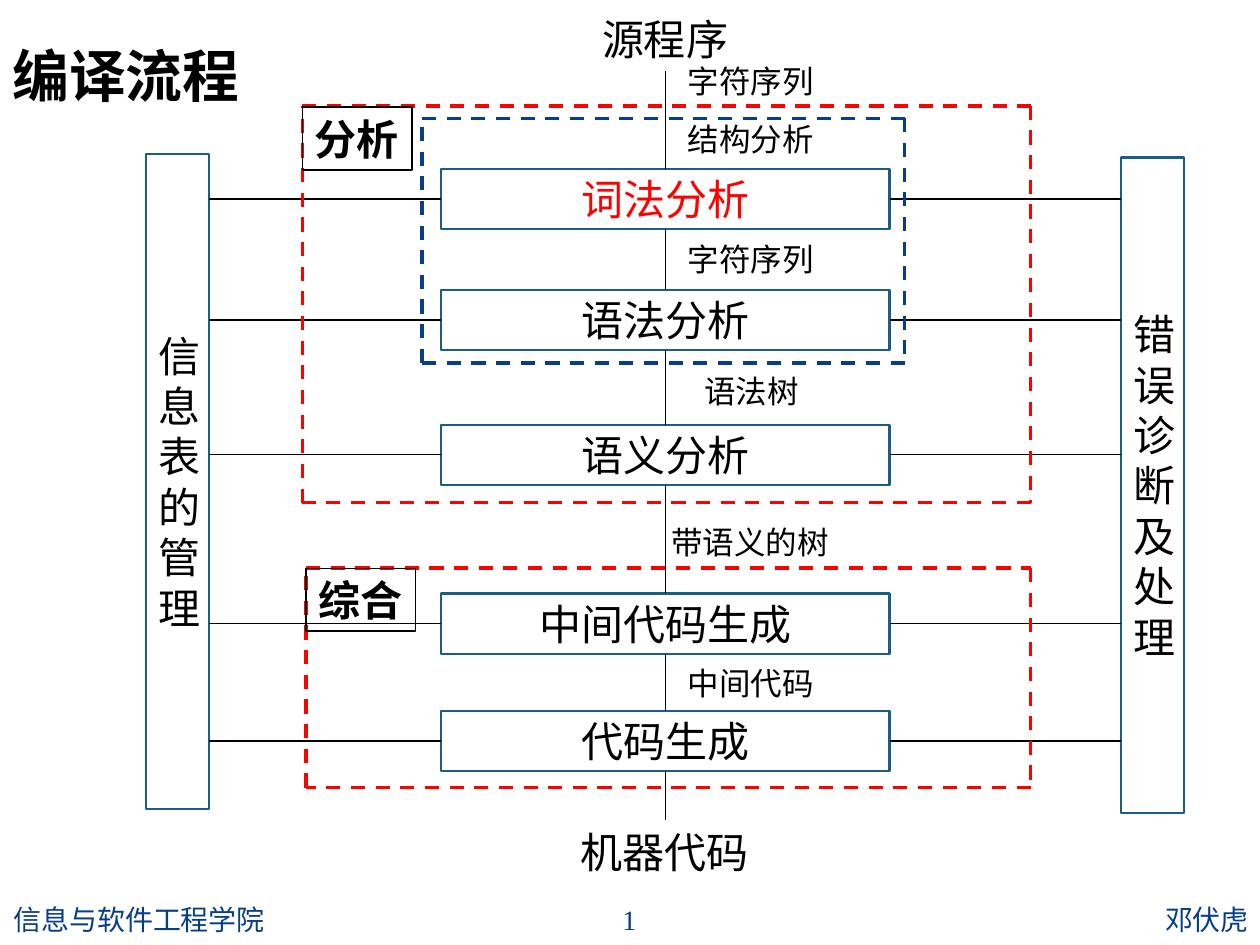
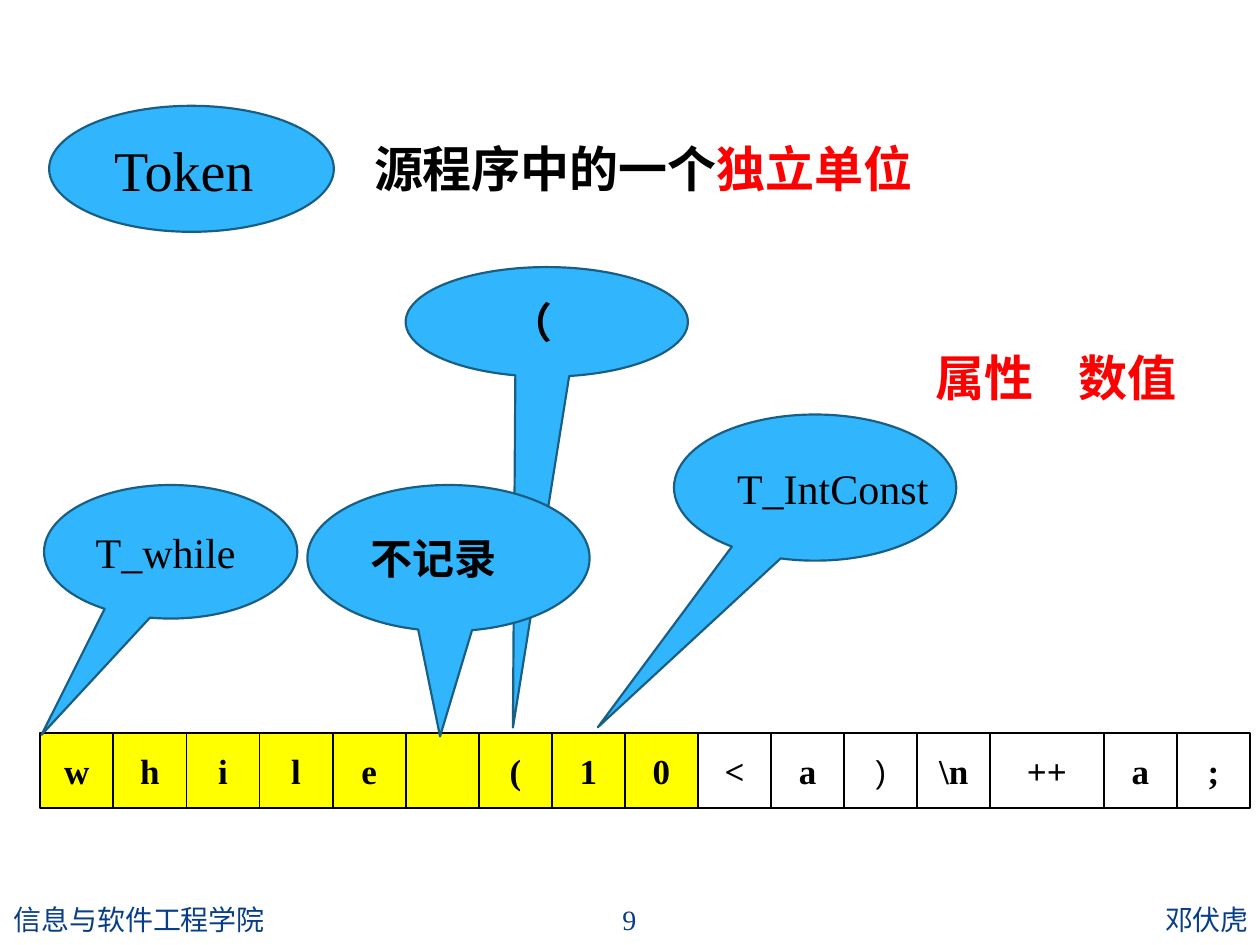
from dataclasses import dataclass
from itertools import pairwise

from lxml import etree
from pptx import Presentation
from pptx.dml.color import RGBColor
from pptx.enum.dml import MSO_LINE
from pptx.enum.shapes import MSO_CONNECTOR, MSO_SHAPE
from pptx.enum.text import MSO_ANCHOR, MSO_AUTO_SIZE, PP_ALIGN
from pptx.oxml.ns import qn
from pptx.util import Inches, Pt

LEFT, CENTER, RIGHT = PP_ALIGN.LEFT, PP_ALIGN.CENTER, PP_ALIGN.RIGHT
TOP, MIDDLE = MSO_ANCHOR.TOP, MSO_ANCHOR.MIDDLE
RECTANGLE, OVAL, CALLOUT = MSO_SHAPE.RECTANGLE, MSO_SHAPE.OVAL, MSO_SHAPE.OVAL_CALLOUT
SIDE_TOP, SIDE_LEFT, SIDE_BOTTOM, SIDE_RIGHT = range(4)


@dataclass(frozen=True)
class Theme:
    black: str = "000000"
    red: str = "FF0000"
    navy: str = "073E87"
    outline: str = "195F84"
    bubble: str = "31B6FD"
    yellow: str = "FFFF00"
    white: str = "FFFFFF"
    body_font: str = "Calibri"
    title_font: str = "Arial"
    code_font: str = "Times New Roman"
    chinese_font: str = "Noto Sans CJK SC"
    title_size: float = 32.4
    token_size: float = 32
    heading_size: float = 28
    body_size: float = 24
    cell_size: float = 20
    note_size: float = 18
    footer_size: float = 16
    thin: float = 0.75
    grid: float = 1
    border: float = 1.25
    dash: float = 2


THEME = Theme()

# Shared footer
SCHOOL, AUTHOR = "信息与软件工程学院", "邓伏虎"
FOOTER_TOP, FOOTER_HEIGHT = 7.1, 0.4

# Compiler flow slide
FLOW_TITLE = "编译流程"
STAGES = [  # name, top, colour
    ("词法分析", 1.34, THEME.red),
    ("语法分析", 2.3, THEME.black),
    ("语义分析", 3.37, THEME.black),
    ("中间代码生成", 4.71, THEME.black),
    ("代码生成", 5.64, THEME.black),
]
STAGE_LEFT, STAGE_WIDTH, STAGE_HEIGHT = 3.5, 3.56, 0.48
PANELS = [  # text, left, top
    ("信息表的管理", 1.16, 1.22),
    ("错误诊断及处理", 8.9, 1.25),
]
PANEL_WIDTH, PANEL_HEIGHT = 0.5, 5.2
ENDS = [("源程序", 4.68, 0.06, 1.2), ("机器代码", 4.51, 6.51, 1.53)]
FLOW_START, FLOW_END = 0.56, 6.51
FRAMES = [  # left, top, right, bottom, colour
    (2.4, 0.84, 8.18, 3.99, THEME.red),
    (2.43, 4.51, 8.18, 6.25, THEME.red),
    (3.35, 0.94, 7.18, 2.88, THEME.navy),
]
PHASES = [("分析", 2.4, 0.85), ("综合", 2.43, 4.51)]
FLOW_NOTES = [  # text, left, top, width
    ("字符序列", 5.36, 0.44, 1.2),
    ("结构分析", 5.36, 0.9, 1.2),
    ("字符序列", 5.36, 1.86, 1.2),
    ("语法树", 5.49, 2.9, 0.95),
    ("带语义的树", 5.23, 4.1, 1.45),
    ("中间代码", 5.36, 5.22, 1.2),
]

# Token slide
CELLS = ["w", "h", "i", "l", "e", "", "(", "1", "0",
         "<", "a", ")", "\\n", "++", "a", ";"]
READ_CELLS = 9
TAPE_LEFT, TAPE_TOP, TAPE_HEIGHT = 0.32, 5.82, 0.59
CELL_WIDTH, WIDE_CELL_WIDTH = 0.58, 0.9
CODE = {"font": THEME.code_font, "size": THEME.body_size}
CHINESE = {"font": THEME.chinese_font, "size": THEME.body_size, "bold": True}
TOKEN = {"font": THEME.code_font, "size": THEME.token_size}
BUBBLES = [  # text, place, pointer tip, text shift, format
    ("T_while", (0.35, 3.85, 2.01, 1.06), (-0.51, 1.37), -0.04, CODE),
    ("Token", (0.39, 0.84, 2.26, 1), None, -0.06, TOKEN),
    ("（", (3.22, 2.12, 2.24, 0.87), (-0.12, 3.7), -0.12, CHINESE),
    ("不记录", (2.44, 3.85, 2.24, 1.16), (-0.03, 1.22), -0.12, CHINESE),
    ("T_IntConst", (5.35, 3.29, 2.24, 1.16), (-0.77, 1.64), 0.14, CODE),
]
DEFINITION = [("源程序中的一个", THEME.black), ("独立单位", THEME.red)]
ATTRIBUTE = "属性\t数值"
ATTRIBUTE_TAB = 1.13


def rgb(colour):
    return RGBColor.from_string(colour)


def write_text(shape, text, *, font=THEME.body_font, size=THEME.body_size,
               colour=THEME.black, bold=False, align=LEFT, anchor=TOP,
               wrap=False, tab=None):
    """Fill a shape with one paragraph; text is a string or (text, colour) spans."""
    frame = shape.text_frame
    frame.word_wrap = wrap
    frame.vertical_anchor = anchor
    para = frame.paragraphs[0]
    para.alignment = align
    if tab:
        stops = etree.SubElement(para._p.get_or_add_pPr(), qn("a:tabLst"))
        etree.SubElement(stops, qn("a:tab"), pos=str(Inches(tab)), algn="l")
    spans = [(text, colour)] if isinstance(text, str) else text
    for words, span_colour in spans:
        span = para.add_run()
        span.text = words
        span.font.size = Pt(size)
        span.font.bold = bold
        span.font.color.rgb = rgb(span_colour)
        span.font.name = font
        etree.SubElement(span._r.get_or_add_rPr(), qn("a:ea"), typeface=font)


def add_label(page, text, place, **style):
    box = page.shapes.add_textbox(*map(Inches, place))
    write_text(box, text, **style)
    if not style.get("wrap"):
        box.text_frame.auto_size = MSO_AUTO_SIZE.SHAPE_TO_FIT_TEXT
    return box


def add_block(page, kind, place, *, fill=None, line=THEME.outline, weight=THEME.border):
    block = page.shapes.add_shape(kind, *map(Inches, place))
    block.shadow.inherit = False
    if fill:
        block.fill.solid()
        block.fill.fore_color.rgb = rgb(fill)
    else:
        block.fill.background()
    block.line.color.rgb = rgb(line)
    block.line.width = Pt(weight)
    return block


def add_line(page, start, end, *, colour=THEME.black, weight=THEME.thin, dash=None):
    line = page.shapes.add_connector(MSO_CONNECTOR.STRAIGHT, *map(Inches, start + end))
    line.line.color.rgb = rgb(colour)
    line.line.width = Pt(weight)
    if dash:
        line.line.dash_style = dash
    etree.SubElement(line._element.spPr, qn("a:effectLst"))
    return line


def add_footer(page, number):
    parts = [
        (AUTHOR, 5.65, 4.36, RIGHT, THEME.body_font),
        (SCHOOL, 0.01, 4.34, LEFT, THEME.body_font),
        (str(number), 4.36, 1.27, CENTER, THEME.code_font),
    ]
    for text, left, width, align, font in parts:
        add_label(page, text, (left, FOOTER_TOP, width, FOOTER_HEIGHT), font=font,
                  size=THEME.footer_size, colour=THEME.navy, align=align,
                  anchor=MIDDLE, wrap=True)


def add_page(deck, number):
    page = deck.slides.add_slide(deck.slide_layouts[6])
    add_footer(page, number)
    return page


def add_frame(page, left, top, right, bottom, colour):
    corners = [(right, top), (right, bottom), (left, bottom), (left, top), (right, top)]
    for start, end in pairwise(corners):
        add_line(page, start, end, colour=colour, weight=THEME.dash, dash=MSO_LINE.DASH)


def add_stages(page):
    stages = []
    for name, top, colour in STAGES:
        stage = add_block(page, RECTANGLE, (STAGE_LEFT, top, STAGE_WIDTH, STAGE_HEIGHT))
        write_text(stage, name, colour=colour, align=CENTER, anchor=MIDDLE)
        stages.append(stage)
    return stages


def link_stages(page, stages):
    """Draw the flow down through the stages and the links out to both panels."""
    middle = STAGE_LEFT + STAGE_WIDTH / 2
    first_top, last_top = STAGES[0][1], STAGES[-1][1]
    entry = add_line(page, (middle, FLOW_START), (middle, first_top))
    entry.end_connect(stages[0], SIDE_TOP)
    for upper, lower in pairwise(stages):
        link = add_line(page, (middle, first_top), (middle, last_top))
        link.begin_connect(upper, SIDE_BOTTOM)
        link.end_connect(lower, SIDE_TOP)
    leaving = add_line(page, (middle, last_top + STAGE_HEIGHT), (middle, FLOW_END))
    leaving.begin_connect(stages[-1], SIDE_BOTTOM)

    left_edge = PANELS[0][1] + PANEL_WIDTH
    right_edge = PANELS[1][1]
    for stage, (_, top, _) in zip(stages, STAGES):
        level = top + STAGE_HEIGHT / 2
        for side, start, edge in [(SIDE_LEFT, STAGE_LEFT, left_edge),
                                  (SIDE_RIGHT, STAGE_LEFT + STAGE_WIDTH, right_edge)]:
            link = add_line(page, (start, level), (edge, level))
            link.begin_connect(stage, side)


def build_flow(deck):
    page = add_page(deck, 1)
    add_label(page, FLOW_TITLE, (0, 0.08, 2.16, 1.02), font=THEME.title_font,
              size=THEME.title_size, bold=True, anchor=MIDDLE, wrap=True)
    for text, left, top in PANELS:
        panel = add_block(page, RECTANGLE, (left, top, PANEL_WIDTH, PANEL_HEIGHT))
        write_text(panel, text, anchor=MIDDLE, wrap=True)
    link_stages(page, add_stages(page))
    for frame in FRAMES:
        add_frame(page, *frame)
    for text, left, top in PHASES:
        phase = add_block(page, RECTANGLE, (left, top, 0.87, 0.5),
                          line=THEME.black, weight=THEME.thin)
        write_text(phase, text, bold=True)
    for text, left, top, width in ENDS:
        add_label(page, text, (left, top, width, 0.5))
    for text, left, top, width in FLOW_NOTES:
        add_label(page, text, (left, top, width, 0.4), size=THEME.note_size)


def add_tape(page):
    left = TAPE_LEFT
    for index, symbol in enumerate(CELLS):
        width = WIDE_CELL_WIDTH if symbol == "++" else CELL_WIDTH
        cell = add_block(page, RECTANGLE, (left, TAPE_TOP, width, TAPE_HEIGHT),
                         fill=THEME.yellow if index < READ_CELLS else THEME.white,
                         line=THEME.black, weight=THEME.grid)
        plain = symbol == ")"
        if symbol:
            write_text(cell, symbol, align=CENTER, anchor=MIDDLE, bold=not plain,
                       font=THEME.title_font if plain else THEME.code_font,
                       size=THEME.note_size if plain else THEME.cell_size)
        left += width


def add_bubble(page, text, place, tip, shift, style):
    """Draw an ellipse, pointed when it has a tip, with its text moved sideways."""
    bubble = add_block(page, CALLOUT if tip else OVAL, place, fill=THEME.bubble)
    for index, value in enumerate(tip or ()):
        bubble.adjustments[index] = value
    write_text(bubble, text, align=CENTER, anchor=MIDDLE, **style)
    bubble.text_frame.margin_left = Inches(max(2 * shift, 0))
    bubble.text_frame.margin_right = Inches(max(-2 * shift, 0))


def build_tokens(deck):
    page = add_page(deck, 9)
    add_tape(page)
    for bubble in BUBBLES:
        add_bubble(page, *bubble)
    heading = {**CHINESE, "size": THEME.heading_size}
    add_label(page, DEFINITION, (2.87, 1.05, 4.52, 0.57), **heading)
    add_label(page, ATTRIBUTE, (7.33, 2.71, 2.34, 0.57), colour=THEME.red,
              wrap=True, tab=ATTRIBUTE_TAB, **heading)


def main():
    deck = Presentation()
    deck.slide_width, deck.slide_height = Inches(10), Inches(7.5)
    build_flow(deck)
    build_tokens(deck)
    deck.save("out.pptx")


if __name__ == "__main__":
    main()
